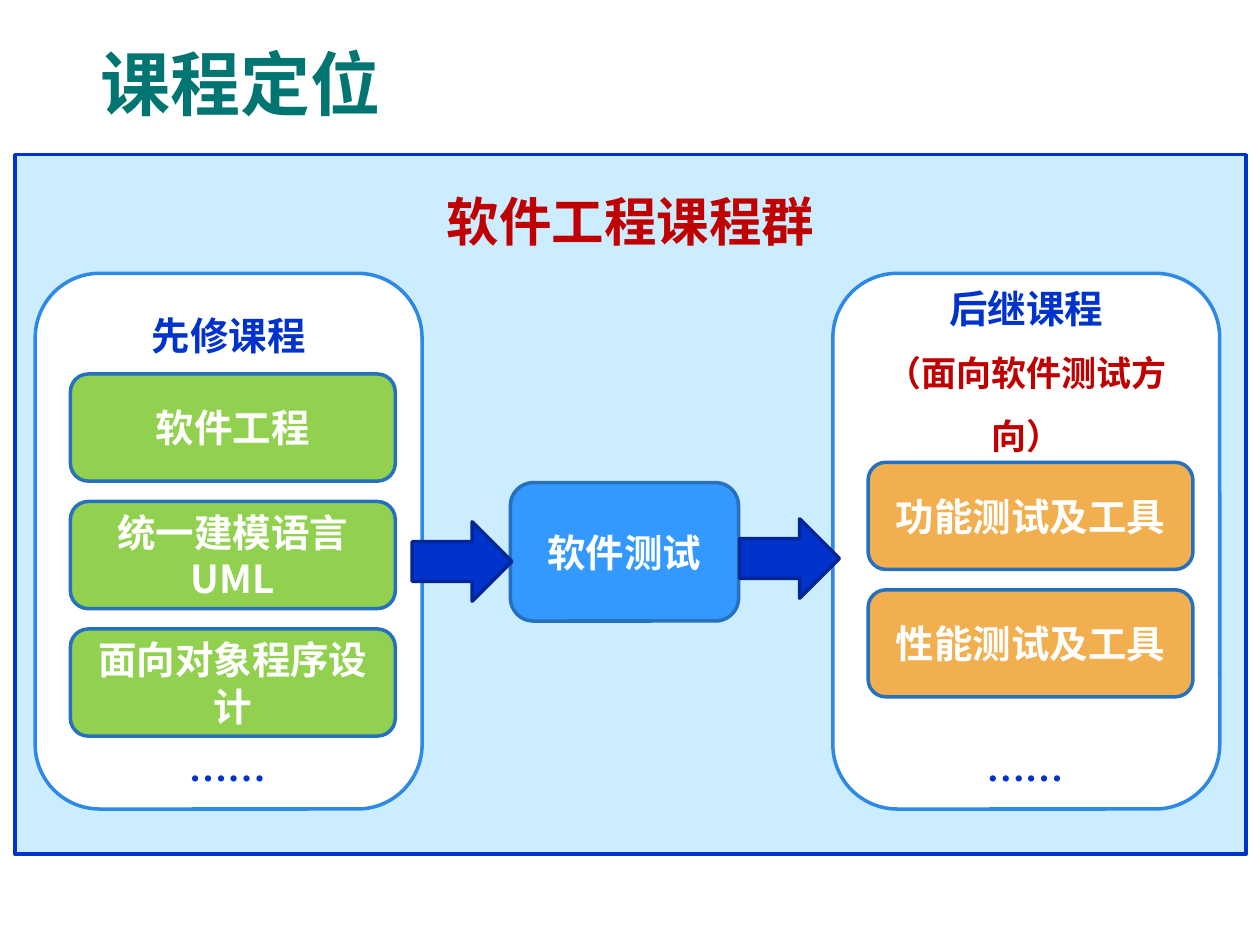
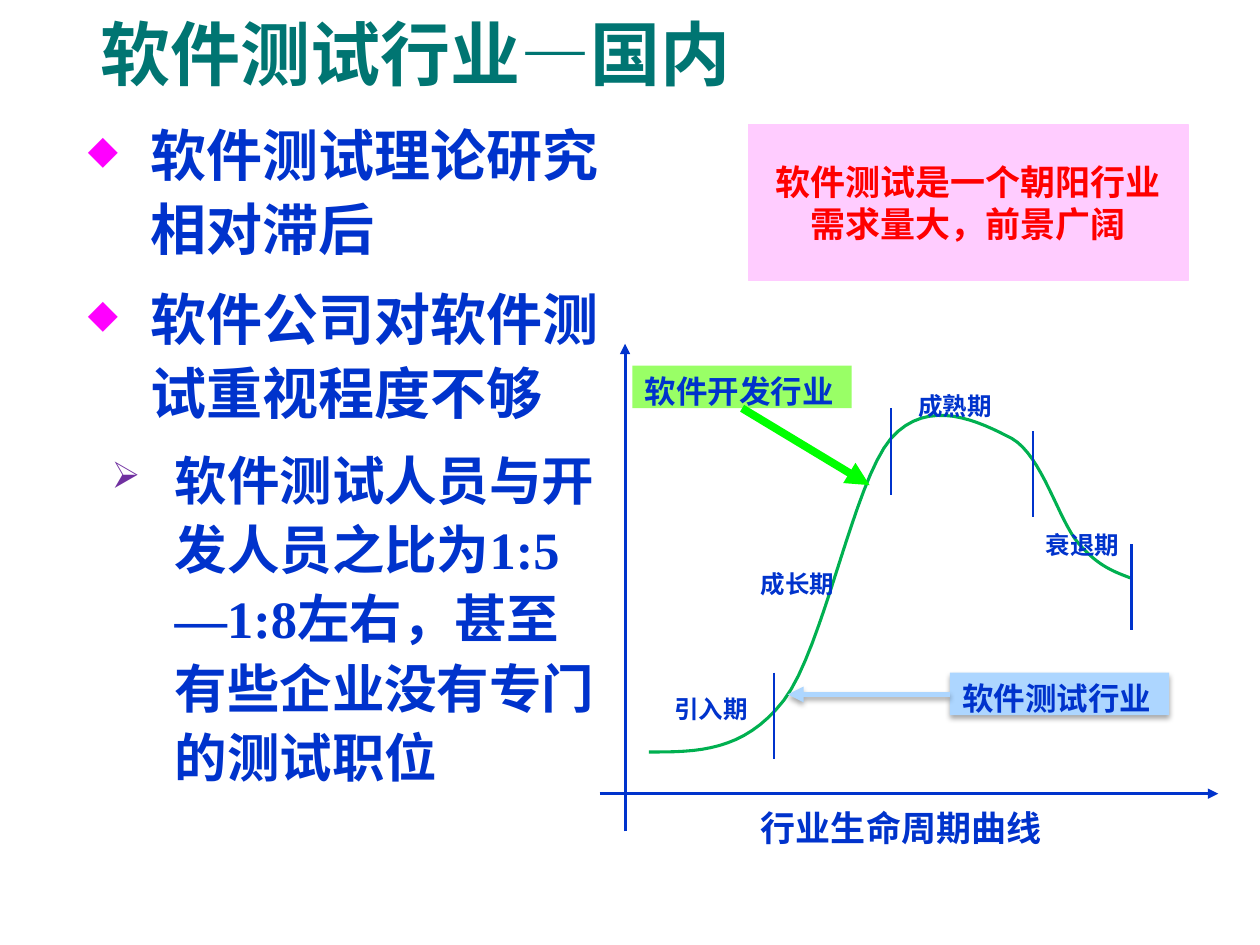
"""Builds two course slides: course positioning and the testing industry in China."""
from lxml.etree import SubElement
from pptx import Presentation
from pptx.dml.color import RGBColor
from pptx.enum.shapes import MSO_CONNECTOR, MSO_SHAPE
from pptx.enum.text import MSO_ANCHOR as ANCHOR, PP_ALIGN as ALIGN
from pptx.oxml.ns import qn
from pptx.util import Cm, Pt

C = {
    "title": "007572", "text": "0033CC", "white": "FFFFFF", "heading": "C00000",
    "frame": "CCECFF", "panel_line": "2D89E5", "card_line": "2671BD",
    "course": "3399FF", "prior": "92D050", "later": "F1AF4F", "arrow_line": "002697",
    "diamond": "FF00FF", "chevron": "7030A0", "curve": "00B050",
    "dev_tag": "99FF66", "dev_arrow": "00FF00", "test_tag": "ADD6FF",
    "note": "FFCCFF", "note_text": "FF0000",
}
SANS, SERIF, LATIN = "Noto Sans CJK SC", "Times New Roman", "Arial"

GROUP_NAME = "软件工程课程群"
COURSE = "软件测试"
PANEL_TOP, PANEL_W, PANEL_H = 5.51, 7.8, 10.8
CARD_W, CARD_H, CARD_STEP = 6.55, 2.16, 2.57
PANELS = [
    dict(left=0.71, heading_top=6.3, headings=["先修课程"], card_top=7.54, fill="prior",
         cards=["软件工程", "统一建模语言UML", "面向对象程序设计"]),
    dict(left=16.79, heading_top=5.74, headings=["后继课程", "（面向软件测试方向）"],
         card_top=9.32, fill="later", cards=["功能测试及工具", "性能测试及工具"]),
]
FLOW_ARROWS = [(8.31, 10.52), (14.91, 10.46)]

POINTS = [
    ("软件测试理论研究相对滞后", 32, 1.27, "◆", "diamond"),
    ("软件公司对软件测试重视程度不够", 32, 1.27, "◆", "diamond"),
    ("软件测试人员与开发人员之比为1:5—1:8左右，甚至有些企业没有专门的测试职位",
     30, 1.75, "➢", "chevron"),
]
NOTE = ["软件测试是一个朝阳行业", "需求量大，前景广阔"]
AXES = [((12.09, 16), (24.56, 16)), ((12.6, 16.76), (12.6, 6.93))]
CURVE_START = (13.08, 15.16)
CURVE = [
    ((14.05, 15.16), (14.99, 15.16), (15.8, 14.12)),
    ((16.61, 13.06), (17.2, 9.73), (17.96, 8.84)),
    ((18.72, 7.98), (19.76, 8.51), (20.4, 8.84)),
    ((21.01, 9.19), (21.34, 10.49), (21.74, 10.95)),
    ((22.15, 11.43), (22.48, 11.53), (22.81, 11.66)),
]
STAGE_TICKS = [(15.6, 13.56), (20.83, 8.69), (17.96, 8.23), (22.81, 10.97)]
TICK_LENGTH = 1.74
STAGES = [("引入期", 13.34, 13.87), ("成熟期", 18.26, 7.75),
          ("成长期", 15.09, 11.35), ("衰退期", 20.83, 10.57)]
CAPTION = "行业生命周期曲线"
TAGS = [
    dict(text="软件开发行业", at=(12.75, 7.37), fill="dev_tag", line="dev_arrow",
         start=(14.96, 8.23), end=(17.53, 9.78), width=4.5, shadow=False),
    dict(text="软件测试行业", at=(19.15, 13.56), fill="test_tag", line="test_tag",
         start=(19.15, 14), end=(15.88, 14), width=3, shadow=True),
]


def rgb(name):
    return RGBColor.from_string(C[name])


def write(p, text, size=22, color="text", font=SANS, align=ALIGN.LEFT, spacing=None):
    p.alignment = align
    if spacing:
        p.line_spacing = spacing
    r = p.add_run()
    r.text = text
    f = r.font
    f.size, f.bold, f.name, f.color.rgb = Pt(size), True, font, rgb(color)
    SubElement(r._r.get_or_add_rPr(), qn("a:ea"), typeface=SANS)


def add_effects(s, shadow=False):
    effects = SubElement(s._element.spPr, qn("a:effectLst"))
    if shadow:
        outer = SubElement(effects, qn("a:outerShdw"), blurRad=str(Pt(3.1)),
                           dist=str(Pt(1.8)), dir="5400000", rotWithShape="0")
        black = SubElement(outer, qn("a:srgbClr"), val="000000")
        SubElement(black, qn("a:alpha"), val="35000")


def add_text(s, box, texts, anchor=ANCHOR.TOP, **fmt):
    sp = s.shapes.add_textbox(*map(Cm, box))
    tf = sp.text_frame
    tf.word_wrap, tf.vertical_anchor = True, anchor
    for i, text in enumerate(texts):
        write(tf.paragraphs[0] if i == 0 else tf.add_paragraph(), text, **fmt)
    return tf


def add_block(s, kind, box, fill, line=None, width=2, texts=(), anchor=ANCHOR.MIDDLE,
              shadow=False, **fmt):
    sp = s.shapes.add_shape(kind, *map(Cm, box))
    sp.fill.solid()
    sp.fill.fore_color.rgb = rgb(fill)
    if line:
        sp.line.color.rgb, sp.line.width = rgb(line), Pt(width)
    else:
        sp.line.fill.background()
    add_effects(sp, shadow)
    tf = sp.text_frame
    tf.word_wrap, tf.vertical_anchor = True, anchor
    for i, text in enumerate(texts):
        write(tf.paragraphs[0] if i == 0 else tf.add_paragraph(), text, **fmt)
    return tf


def add_line(s, start, end, color="text", width=1.75, arrow=True, shadow=False):
    cn = s.shapes.add_connector(MSO_CONNECTOR.STRAIGHT, *map(Cm, start + end))
    cn.line.color.rgb, cn.line.width = rgb(color), Pt(width)
    if arrow:
        SubElement(cn.line._get_or_add_ln(), qn("a:tailEnd"), type="triangle")
    add_effects(cn, shadow)


def add_title(s, text, top):
    add_text(s, (1.78, top, 20.04, 1.07), [text], anchor=ANCHOR.MIDDLE,
             size=40, color="title")


def add_bullet(p, char, color, indent):
    pPr = p._p.get_or_add_pPr()
    pPr.set("marL", str(Cm(indent)))
    pPr.set("indent", str(-Cm(1.27)))
    SubElement(SubElement(pPr, qn("a:buClr")), qn("a:srgbClr"), val=C[color])
    SubElement(pPr, qn("a:buSzPct"), val="70000")
    SubElement(pPr, qn("a:buChar"), char=char)


def bezier(p0, p1, p2, p3, steps=16):
    for i in range(1, steps + 1):
        t = i / steps
        u = 1 - t
        yield tuple(Cm(u**3 * a + 3 * u * u * t * b + 3 * u * t * t * c + t**3 * d)
                    for a, b, c, d in zip(p0, p1, p2, p3))


def add_curve(s):
    builder = s.shapes.build_freeform(*map(Cm, CURVE_START), scale=1.0)
    start = CURVE_START
    for c1, c2, end in CURVE:
        builder.add_line_segments(list(bezier(start, c1, c2, end)), close=False)
        start = end
    sp = builder.convert_to_shape()
    sp.fill.background()
    sp.line.color.rgb, sp.line.width = rgb("curve"), Pt(1.75)
    add_effects(sp)


def add_panel(s, left, heading_top, headings, card_top, fill, cards):
    rounded = MSO_SHAPE.ROUNDED_RECTANGLE
    add_block(s, rounded, (left, PANEL_TOP, PANEL_W, PANEL_H), "white", "panel_line")
    tf = add_text(s, (left, heading_top, PANEL_W, 1), headings[:1], align=ALIGN.CENTER)
    tf.margin_left = tf.margin_right = Cm(0.63)
    tf.margin_top = 0
    for text in headings[1:]:
        write(tf.add_paragraph(), text, size=20, color="heading",
              align=ALIGN.CENTER, spacing=1.5)
    for i, card in enumerate(cards):
        add_block(s, rounded, (left + 0.71, card_top + i * CARD_STEP, CARD_W, CARD_H),
                  fill, "card_line", texts=[card], color="white", align=ALIGN.CENTER)
    add_text(s, (left + 2.85, 14.86, 2.26, 1.19), ["……"], font=SERIF)


def build_positioning(s):
    tf = add_block(s, MSO_SHAPE.RECTANGLE, (0.3, 3.12, 24.82, 14.1), "frame", "text",
                   texts=[GROUP_NAME], anchor=ANCHOR.TOP, size=30, color="heading",
                   align=ALIGN.CENTER)
    tf.margin_top = Cm(0.7)
    add_block(s, MSO_SHAPE.ROUNDED_RECTANGLE, (10.29, 9.73, 4.6, 2.79), "course",
              "card_line", texts=[COURSE], color="white", align=ALIGN.CENTER)
    for panel in PANELS:
        add_panel(s, **panel)
    for left, top in FLOW_ARROWS:
        add_block(s, MSO_SHAPE.RIGHT_ARROW, (left, top, 2.01, 1.6), "text", "arrow_line")
    add_title(s, "课程定位", 1.12)


def build_industry(s):
    tf = add_text(s, (1.52, 2.18, 11.02, 16.1), [])
    for i, (text, size, indent, char, color) in enumerate(POINTS):
        p = tf.add_paragraph() if i else tf.paragraphs[0]
        p.line_spacing = 1.1
        if i:
            p.space_before = Pt(9)
        add_bullet(p, char, color, indent)
        write(p, text, size=size, font=SERIF)
    add_title(s, "软件测试行业—国内", 0.53)
    for start, end in AXES:
        add_line(s, start, end)
    add_curve(s)
    for x, top in STAGE_TICKS:
        add_line(s, (x, top), (x, top + TICK_LENGTH), width=1.25, arrow=False)
    for text, left, top in STAGES:
        add_text(s, (left, top, 2.49, 0.58), [text], size=14)
    add_text(s, (15.09, 16.13, 7.49, 0.76), [CAPTION], size=20)
    for tag in TAGS:
        add_block(s, MSO_SHAPE.RECTANGLE, tag["at"] + (4.42, 0.86), tag["fill"],
                  texts=[tag["text"]], anchor=ANCHOR.TOP, shadow=tag["shadow"],
                  size=18, font=LATIN)
        add_line(s, tag["start"], tag["end"], tag["line"], tag["width"],
                 shadow=tag["shadow"])
    add_block(s, MSO_SHAPE.RECTANGLE, (15.09, 2.51, 8.86, 3.15), "note", "note", 0.75,
              texts=NOTE, size=20, color="note_text", align=ALIGN.CENTER)


def main():
    prs = Presentation()
    prs.slide_width, prs.slide_height = Cm(25.4), Cm(19.05)
    for build in (build_positioning, build_industry):
        build(prs.slides.add_slide(prs.slide_layouts[6]))
    prs.save("out.pptx")


if __name__ == "__main__":
    main()
